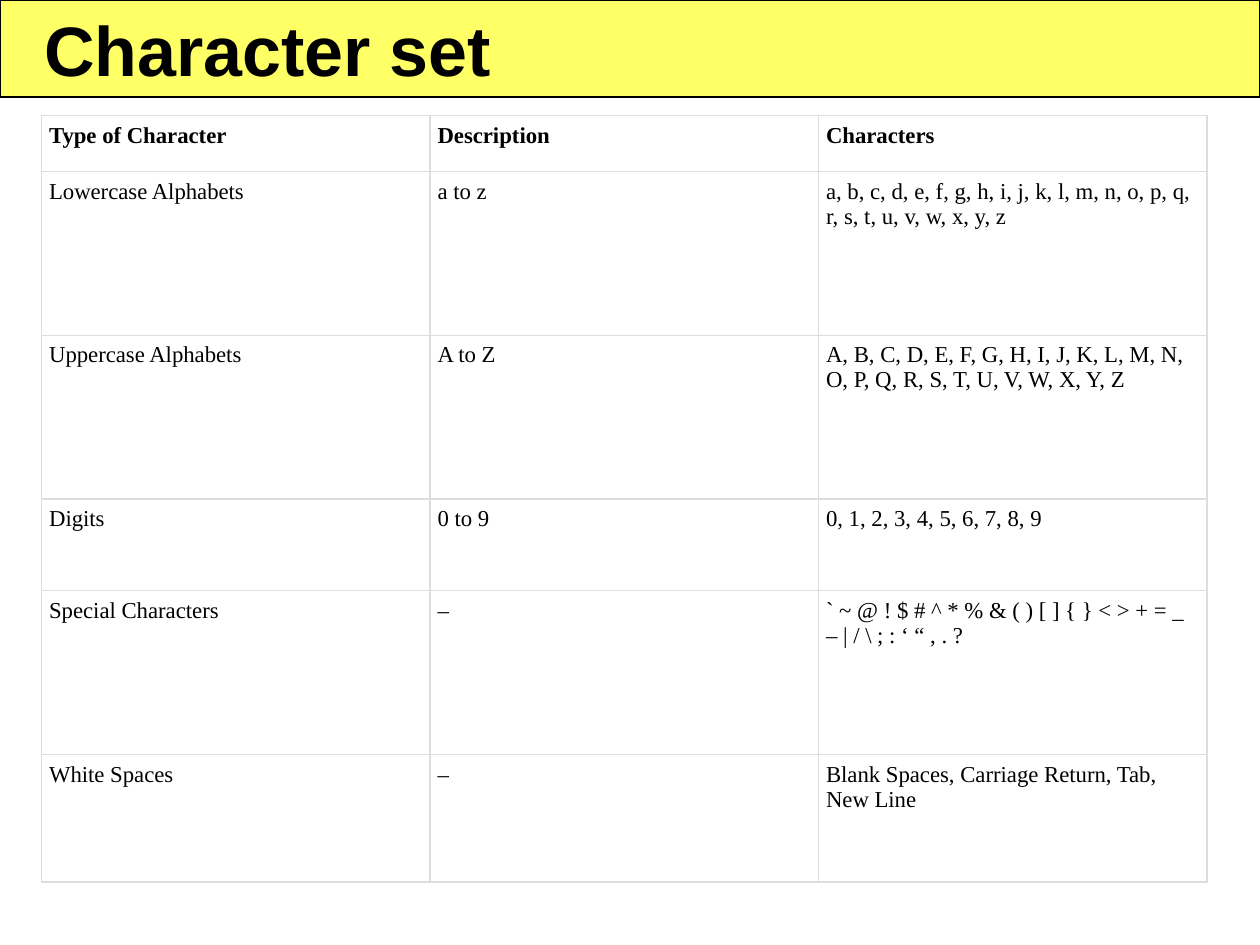
from lxml.etree import SubElement
from pptx import Presentation
from pptx.dml.color import RGBColor
from pptx.enum.shapes import MSO_SHAPE
from pptx.enum.text import MSO_ANCHOR, MSO_AUTO_SIZE, PP_ALIGN
from pptx.oxml.ns import qn
from pptx.util import Inches, Pt

COLORS = {"band": "FFFF66", "ink": "000000", "cell": "FFFFFF", "grid": "DDDDDD"}
ROW_HEIGHTS = [0.44, 1.3, 1.3, 0.73, 1.3, 1.01]
ROWS = [
    ("Type of Character", "Description", "Characters"),
    ("Lowercase Alphabets", "a to z",
     "a, b, c, d, e, f, g, h, i, j, k, l, m, n, o, p, q, r, s, t, u, v, w, x, y, z"),
    ("Uppercase Alphabets", "A to Z",
     "A, B, C, D, E, F, G, H, I, J, K, L, M, N, O, P, Q, R, S, T, U, V, W, X, Y, Z"),
    ("Digits", "0 to 9", "0, 1, 2, 3, 4, 5, 6, 7, 8, 9"),
    ("Special Characters", "–",
     "` ~ @ ! $ # ^ * % & ( ) [ ] { } < > + = _ – | / \\ ; : ‘ “ , . ?"),
    ("White Spaces", "–", "Blank Spaces, Carriage Return, Tab, New Line"),
]


class SlideBuilder:
    title_font = "Arial"
    table_font = "Times New Roman"
    line_width = Pt(0.75)

    def __init__(self, page):
        self.page = page

    def color(self, name):
        return RGBColor.from_string(COLORS[name])

    def style(self, paragraph, font_name, size, bold):
        font = paragraph.font
        font.name, font.size, font.bold = font_name, Pt(size), bold
        font.color.rgb = self.color("ink")
        paragraph.alignment = PP_ALIGN.LEFT

    def band(self, left, top, width, height):
        band = self.page.shapes.add_shape(
            MSO_SHAPE.RECTANGLE, Inches(left), Inches(top), Inches(width), Inches(height))
        band.shadow.inherit = False
        band.fill.solid()
        band.fill.fore_color.rgb = self.color("band")
        band.line.color.rgb = self.color("ink")
        band.line.width = self.line_width
        self.page.shapes.title._element.addprevious(band._element)

    def title(self, text, left, top, width, height):
        title = self.page.shapes.title
        title.left, title.top = Inches(left), Inches(top)
        title.width, title.height = Inches(width), Inches(height)
        frame = title.text_frame
        frame.text = text
        frame.word_wrap = False
        frame.auto_size = MSO_AUTO_SIZE.SHAPE_TO_FIT_TEXT
        frame.vertical_anchor = MSO_ANCHOR.TOP
        self.style(frame.paragraphs[0], self.title_font, 40, True)

    def cell_borders(self, cell):
        properties = cell._tc.get_or_add_tcPr()
        for index, side in enumerate(("lnL", "lnR", "lnT", "lnB")):
            line = properties.makeelement(qn(f"a:{side}"), {"w": str(self.line_width)})
            properties.insert(index, line)
            fill = SubElement(line, qn("a:solidFill"))
            SubElement(fill, qn("a:srgbClr"), val=COLORS["grid"])

    def cell(self, cell, text, bold):
        cell.text = text
        cell.margin_left = cell.margin_right = Inches(0.06)
        cell.margin_top = cell.margin_bottom = Inches(0.06)
        cell.fill.solid()
        cell.fill.fore_color.rgb = self.color("cell")
        self.style(cell.text_frame.paragraphs[0], self.table_font, 13, bold)
        self.cell_borders(cell)

    def table(self, rows, row_heights, left, top, width):
        table = self.page.shapes.add_table(
            len(rows), len(rows[0]), Inches(left), Inches(top),
            Inches(width), Inches(sum(row_heights))).table
        for row, height in zip(table.rows, row_heights):
            row.height = Inches(height)
        for row_index, texts in enumerate(rows):
            for column_index, text in enumerate(texts):
                self.cell(table.cell(row_index, column_index), text, row_index == 0)


def main():
    deck = Presentation()
    deck.slide_width, deck.slide_height = Inches(10), Inches(7.5)
    builder = SlideBuilder(deck.slides.add_slide(deck.slide_layouts[5]))
    builder.band(0, 0, 10, 0.77)
    builder.title("Character set", 0.25, 0, 3.79, 0.77)
    builder.table(ROWS, ROW_HEIGHTS, 0.33, 0.92, 9.25)
    deck.save("out.pptx")


if __name__ == "__main__":
    main()
